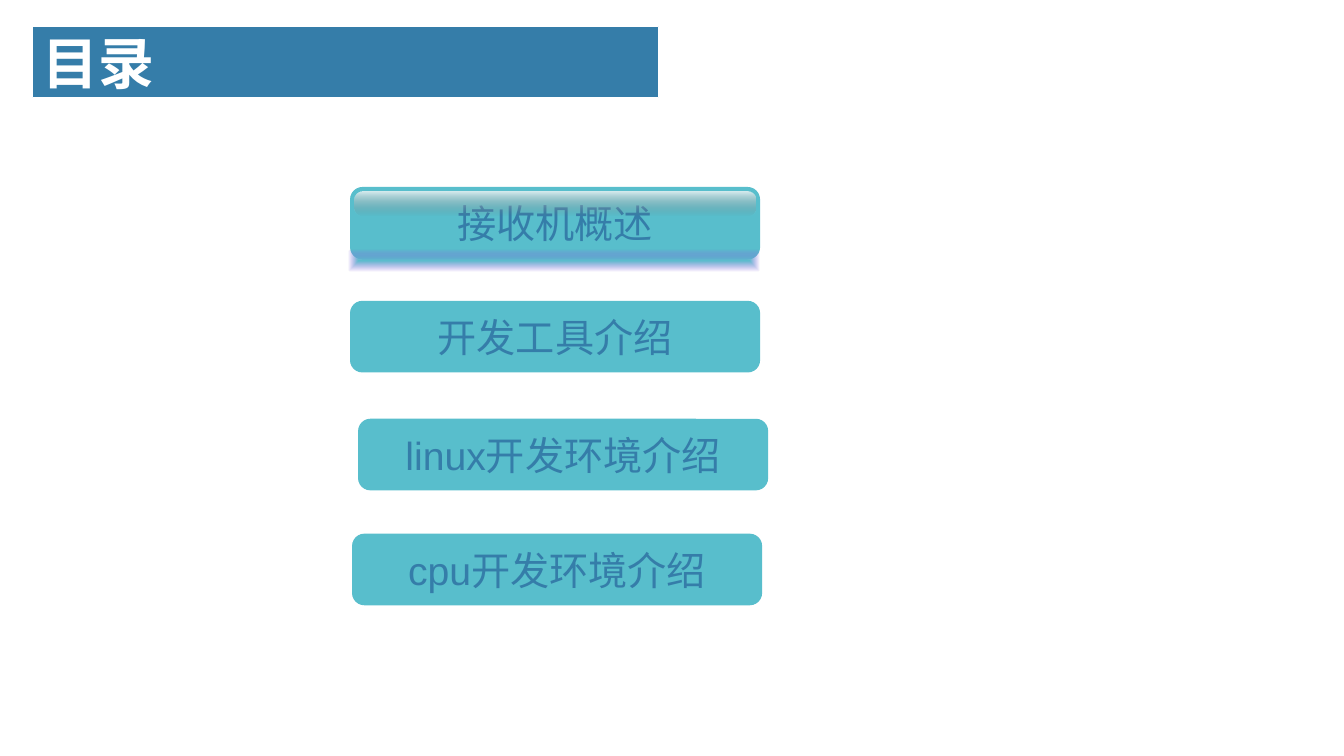
from lxml import etree
from pptx import Presentation
from pptx.dml.color import RGBColor
from pptx.enum.shapes import MSO_SHAPE as SHAPE
from pptx.enum.text import MSO_ANCHOR as ANCHOR, PP_ALIGN as ALIGN
from pptx.oxml.ns import qn
from pptx.util import Emu, Pt

TITLE = "目录"
# text, left, top, height
BUTTONS = [
    ("接收机概述", 348, 186, 71),
    ("开发工具介绍", 348, 299, 70),
    ("linux开发环境介绍", 356, 416, 70),
    ("cpu开发环境介绍", 350, 530, 70),
]
BUTTON_W = 406
COLORS = {"blue": "357DA9", "teal": "58BECC", "white": "FFFFFF",
          "shine": "F8F8F8", "shade": "717171", "violet": "8A5BDF"}
PX = 9144  # 100 px to the inch


def px(n):
    return Emu(n * PX)


def rgb(name):
    return RGBColor.from_string(COLORS[name])


def add_box(s, kind, left, top, width, height, fill=None, line=None, adj=None):
    sp = s.shapes.add_shape(kind, *map(px, (left, top, width, height)))
    sp.shadow.inherit = False
    if adj is not None:
        sp.adjustments[0] = adj
    if fill:
        sp.fill.solid()
        sp.fill.fore_color.rgb = rgb(fill)
    else:
        sp.fill.background()
    if line:
        sp.line.color.rgb = rgb(line)
        sp.line.width = Pt(0.75)
    else:
        sp.line.fill.background()
    return sp


def write(sp, text, size, color, bold=False, align=ALIGN.LEFT, wrap=True):
    tf = sp.text_frame
    tf.word_wrap = wrap
    tf.vertical_anchor = ANCHOR.MIDDLE
    p = tf.paragraphs[0]
    p.alignment = align
    r = p.add_run()
    r.text = text
    r.font.name = "Arial"
    r.font.size = Pt(size)
    r.font.bold = bold
    r.font.color.rgb = rgb(color)


def fade(sp, start, end, start_alpha=100, centred=False):
    """Fill with a gradient that ends fully transparent."""
    grad = etree.Element(qn("a:gradFill"), rotWithShape="1")
    stops = etree.SubElement(grad, qn("a:gsLst"))
    for pos, color, alpha in ((0, start, start_alpha), (100, end, 0)):
        gs = etree.SubElement(stops, qn("a:gs"), pos=str(pos * 1000))
        clr = etree.SubElement(gs, qn("a:srgbClr"), val=COLORS[color])
        etree.SubElement(clr, qn("a:alpha"), val=str(alpha * 1000))
    if centred:
        shade = etree.SubElement(grad, qn("a:path"), path="rect")
        etree.SubElement(shade, qn("a:fillToRect"),
                         {side: "50000" for side in "ltrb"})
    else:
        etree.SubElement(grad, qn("a:lin"), ang="5400000", scaled="1")
    spPr = sp.element.spPr
    spPr.replace(spPr.find(qn("a:noFill")), grad)


def main():
    prs = Presentation()
    prs.slide_width, prs.slide_height = px(1334), px(750)
    s = prs.slides.add_slide(prs.slide_layouts[6])

    title = add_box(s, SHAPE.RECTANGLE, 32, 26, 622, 71, "blue", "white")
    write(title, TITLE, 40, "white", bold=True)

    for i, (text, left, top, height) in enumerate(BUTTONS):
        button = add_box(s, SHAPE.ROUNDED_RECTANGLE, left, top, BUTTON_W, height,
                         "teal", "teal", adj=0.167)
        write(button, text, 28, "blue", align=ALIGN.CENTER, wrap=False)
        if i == 0:  # the current chapter is glossy
            gloss = add_box(s, SHAPE.ROUNDED_RECTANGLE, left + 4, top + 4,
                            BUTTON_W - 8, 24, adj=0.324)
            fade(gloss, "shine", "shade", start_alpha=80)
            glow = add_box(s, SHAPE.ROUNDED_RECTANGLE, left - 2, top + 62,
                           BUTTON_W + 2, 21, adj=0.167)
            fade(glow, "teal", "violet", centred=True)

    prs.save("out.pptx")


if __name__ == "__main__":
    main()
